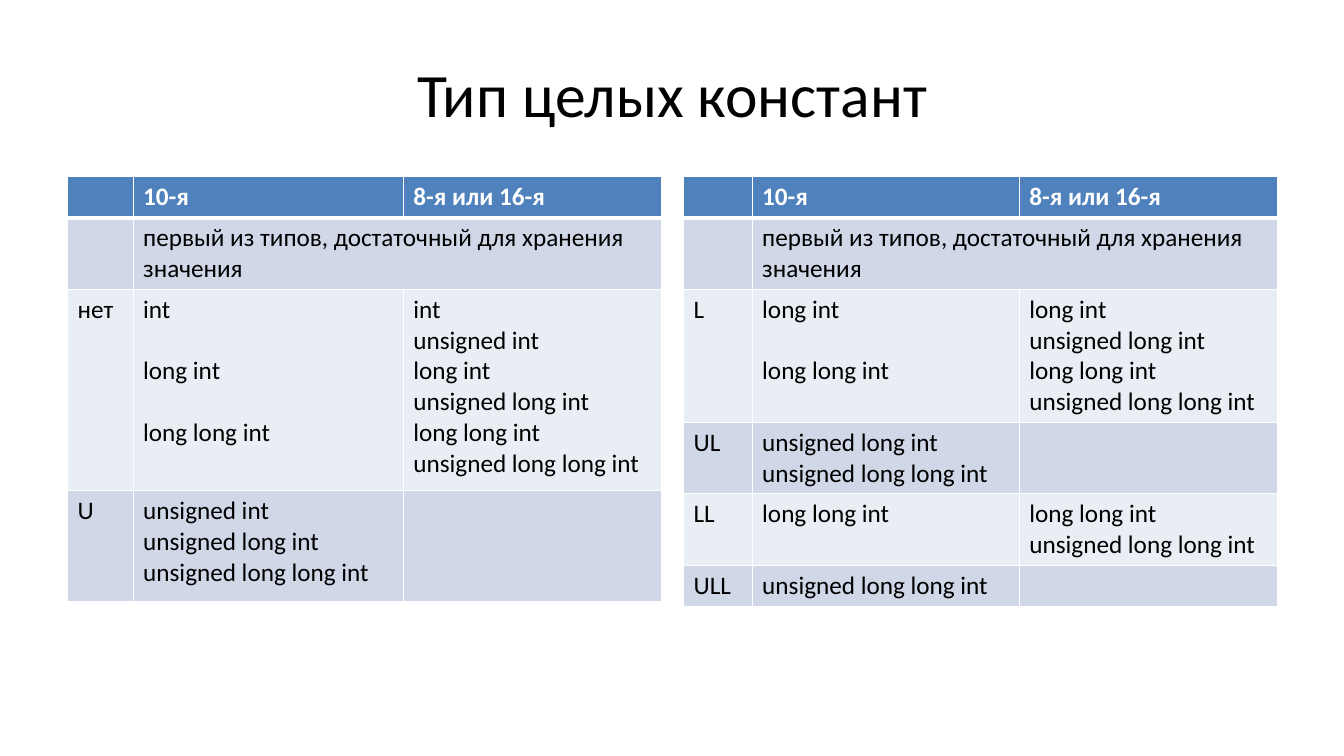
"""Build a slide with two tables on the types of integer constants."""
import lxml.etree
import pptx
import pptx.dml.color
import pptx.enum.text
import pptx.oxml.ns
import pptx.util

Inches, Pt = pptx.util.Inches, pptx.util.Pt

TITLE = "Тип целых констант"
FONT = "Calibri"
HEADER = ("", ["10-я"], ["8-я или 16-я"])
RULE = ("", ["первый из типов, достаточный для хранения значения"], [])
UNSIGNED = ["unsigned int", "unsigned long int", "unsigned long long int"]
ALL_TYPES = ["int", "unsigned int", "long int", "unsigned long int",
             "long long int", "unsigned long long int"]
TABLES = [
    {
        "left": 0.67,
        "cols": [0.65, 2.68, 2.56],
        "heights": [0.41, 0.71, 2, 1.1],
        "rows": [
            HEADER,
            RULE,
            ("нет", ALL_TYPES[::2], ALL_TYPES),
            ("U", UNSIGNED, []),
        ],
    },
    {
        "left": 6.78,
        "cols": [0.68, 2.65, 2.56],
        "heights": [0.41, 0.71, 1.32, 0.71, 0.71, 0.41],
        "rows": [
            HEADER,
            RULE,
            ("L", ALL_TYPES[2::2], ALL_TYPES[2:]),
            ("UL", UNSIGNED[1:], []),
            ("LL", ALL_TYPES[4:5], ALL_TYPES[4:]),
            ("ULL", UNSIGNED[2:], []),
        ],
    },
]
TOP = 1.75
LINE_PT = 22
BLACK, WHITE = "000000", "FFFFFF"
HEADER_FILL, BANDS = "4F81BD", ("E9EDF4", "D0D8E8")


def color(value):
    return pptx.dml.color.RGBColor.from_string(value)


def style(p, size, value, bold=False):
    p.font.name, p.font.size, p.font.bold = FONT, Pt(size), bold
    p.font.color.rgb = color(value)


def add_borders(cell, top, bottom):
    tc_pr = cell._tc.get_or_add_tcPr()
    qn = pptx.oxml.ns.qn
    for side, width in (("L", 1), ("R", 1), ("T", top), ("B", bottom)):
        ln = lxml.etree.SubElement(tc_pr, qn(f"a:ln{side}"), w=str(Pt(width)))
        fill = lxml.etree.SubElement(ln, qn("a:solidFill"))
        lxml.etree.SubElement(fill, qn("a:srgbClr"), val=WHITE)


def fill_cell(cell, lines, row, gap):
    header = row == 0
    add_borders(cell, 3 if row == 1 else 1, 3 if header else 1)
    cell.fill.solid()
    cell.fill.fore_color.rgb = color(HEADER_FILL if header else BANDS[row % 2])
    tf = cell.text_frame
    for i, line in enumerate(lines or [""]):
        p = tf.add_paragraph() if i else tf.paragraphs[0]
        p.text = line
        p.space_before = Pt(gap if i else 0)
        style(p, 18, WHITE if header else BLACK, header)


def add_type_table(slide, left, cols, heights, rows):
    frame = slide.shapes.add_table(
        len(rows), len(cols), Inches(left), Inches(TOP),
        Inches(sum(cols)), Inches(sum(heights)))
    table = frame.table
    for column, width in zip(table.columns, cols):
        column.width = Inches(width)
    for r, (suffix, decimal, other) in enumerate(rows):
        table.rows[r].height = Inches(heights[r])
        gap = LINE_PT if len(other) == 2 * len(decimal) else 0
        for c, lines in enumerate(([suffix], decimal, other)):
            fill_cell(table.cell(r, c), lines, r, gap if c == 1 else 0)
    table.cell(1, 1).merge(table.cell(1, 2))


def main():
    prs = pptx.Presentation()
    prs.slide_width, prs.slide_height = Inches(13.33), Inches(7.5)
    slide = prs.slides.add_slide(prs.slide_layouts[6])
    box = slide.shapes.add_textbox(Inches(0.67), Inches(0.3), Inches(12), Inches(1.25))
    tf = box.text_frame
    tf.word_wrap = True
    tf.vertical_anchor = pptx.enum.text.MSO_ANCHOR.MIDDLE
    p = tf.paragraphs[0]
    p.text = TITLE
    p.alignment = pptx.enum.text.PP_ALIGN.CENTER
    style(p, 44, BLACK)
    for spec_table in TABLES:
        add_type_table(slide, **spec_table)
    prs.save("out.pptx")


if __name__ == "__main__":
    main()
